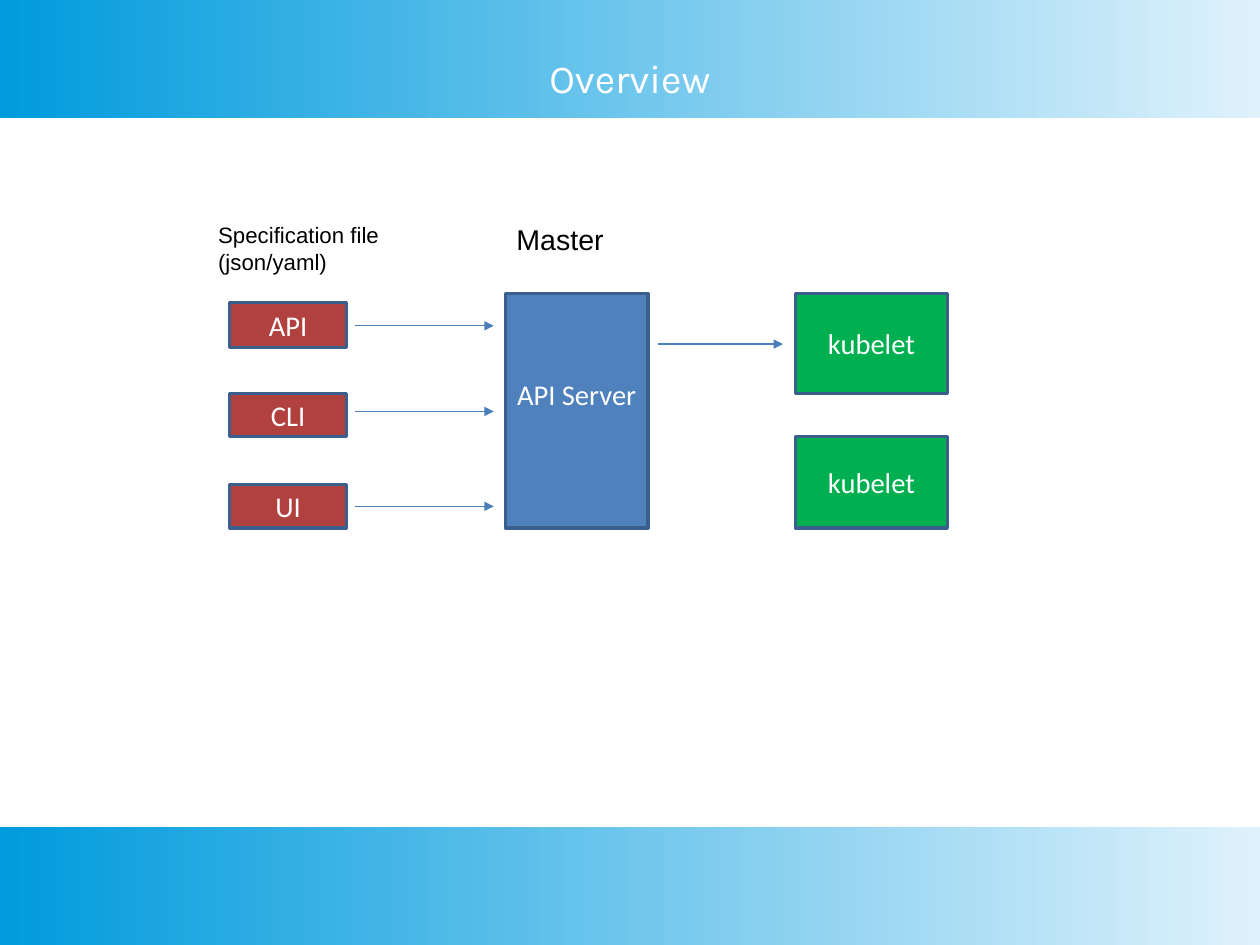
"""Build the Overview slide: clients, API server and kubelets."""
import pptx
import pptx.dml.color
import pptx.enum.shapes
import pptx.enum.text
import pptx.oxml
import pptx.oxml.ns
import pptx.util
from pptx.util import Inches

RGBColor = pptx.dml.color.RGBColor
WHITE = RGBColor(0xFF, 0xFF, 0xFF)
BLACK = RGBColor(0x00, 0x00, 0x00)
BAND_DARK = RGBColor(0x00, 0x9B, 0xDD)
BAND_LIGHT = RGBColor(0xDF, 0xF2, 0xFC)
SERVER_BLUE = RGBColor(0x4F, 0x81, 0xBD)
CLIENT_RED = RGBColor(0xB0, 0x41, 0x3E)
KUBELET_GREEN = RGBColor(0x00, 0xB0, 0x50)
OUTLINE = RGBColor(0x3A, 0x5F, 0x8C)
ARROW_BLUE = RGBColor(0x4A, 0x7E, 0xBB)

SLIDE_WIDTH = pptx.util.Cm(28)
SLIDE_HEIGHT = pptx.util.Cm(21)
BAND_HEIGHT = 1.03
ROW_TOP = 2.57
CENTER = pptx.enum.text.PP_ALIGN.CENTER
LEFT = pptx.enum.text.PP_ALIGN.LEFT
MIDDLE = pptx.enum.text.MSO_ANCHOR.MIDDLE
RECTANGLE = pptx.enum.shapes.MSO_SHAPE.RECTANGLE


def write_text(shape, text, size, font_name, color, alignment):
    frame = shape.text_frame
    frame.word_wrap = True
    frame.text = text
    para = frame.paragraphs[0]
    para.alignment = alignment
    font = para.runs[0].font
    font.size = pptx.util.Pt(size)
    font.name = font_name
    font.color.rgb = color


def add_rectangle(slide, left, top, width, height):
    box = slide.shapes.add_shape(
        RECTANGLE, Inches(left), Inches(top), Inches(width), Inches(height))
    box.shadow.inherit = False
    return box


def add_band(slide, top):
    band = add_rectangle(slide, 0, top, SLIDE_WIDTH.inches, BAND_HEIGHT)
    band.line.fill.background()
    band.fill.gradient()
    band.fill.gradient_angle = 0
    for stop, color in zip(band.fill.gradient_stops, (BAND_DARK, BAND_LIGHT)):
        stop.color.rgb = color


def add_title(slide, text):
    title = slide.shapes.title
    title.left, title.top = Inches(0.55), Inches(0.33)
    title.width, title.height = Inches(9.92), Inches(0.7)
    frame = title.text_frame
    frame.margin_left = frame.margin_right = 0
    frame.margin_top = frame.margin_bottom = 0
    frame.vertical_anchor = MIDDLE
    write_text(title, text, 25, "Karla", WHITE, CENTER)
    slide.shapes._spTree.append(title._element)


def add_box(slide, text, left, top, width, height, color):
    box = add_rectangle(slide, left, top, width, height)
    box.fill.solid()
    box.fill.fore_color.rgb = color
    box.line.color.rgb = OUTLINE
    box.line.width = pptx.util.Pt(2)
    box.text_frame.vertical_anchor = MIDDLE
    write_text(box, text, 18, "Calibri", WHITE, CENTER)
    return box


def add_arrow(slide, left, right, y):
    arrow = slide.shapes.add_connector(
        pptx.enum.shapes.MSO_CONNECTOR.STRAIGHT,
        Inches(left), Inches(y), Inches(right), Inches(y))
    arrow.line.color.rgb = ARROW_BLUE
    arrow.line.width = pptx.util.Pt(0.75)
    head = pptx.oxml.parse_xml(
        f'<a:tailEnd {pptx.oxml.ns.nsdecls("a")} type="triangle"/>')
    arrow.line._get_or_add_ln().append(head)
    effects = pptx.oxml.parse_xml(f'<a:effectLst {pptx.oxml.ns.nsdecls("a")}/>')
    arrow._element.spPr.append(effects)


def add_label(slide, text, left, width, height, size):
    label = slide.shapes.add_textbox(
        Inches(left), Inches(1.89), Inches(width), Inches(height))
    write_text(label, text, size, "Arial", BLACK, LEFT)


def main():
    deck = pptx.Presentation()
    deck.slide_width, deck.slide_height = SLIDE_WIDTH, SLIDE_HEIGHT
    slide = deck.slides.add_slide(deck.slide_layouts[5])

    for top in (0, SLIDE_HEIGHT.inches - BAND_HEIGHT):
        add_band(slide, top)
    add_title(slide, "Overview")

    server = add_box(slide, "API Server", 4.42, ROW_TOP, 1.25, 2.05, SERVER_BLUE)
    server.text_frame.margin_bottom = Inches(0.35)
    clients = (("API", 2.65, 0.39, 2.85), ("CLI", 3.44, 0.38, 3.6), ("UI", 4.24, 0.38, 4.43))
    for name, top, height, arrow_y in clients:
        add_box(slide, name, 2.01, top, 1.02, height, CLIENT_RED)
        add_arrow(slide, 3.11, 4.32, arrow_y)
    for top, height in ((ROW_TOP, 0.87), (3.82, 0.8)):
        add_box(slide, "kubelet", 6.96, top, 1.33, height, KUBELET_GREEN)
    add_arrow(slide, 5.76, 6.85, 3.01)

    add_label(slide, "Specification file (json/yaml)", 1.81, 1.81, 0.56, 14)
    add_label(slide, "Master", 4.42, 1.15, 0.4, 18)
    deck.save("out.pptx")


if __name__ == "__main__":
    main()
